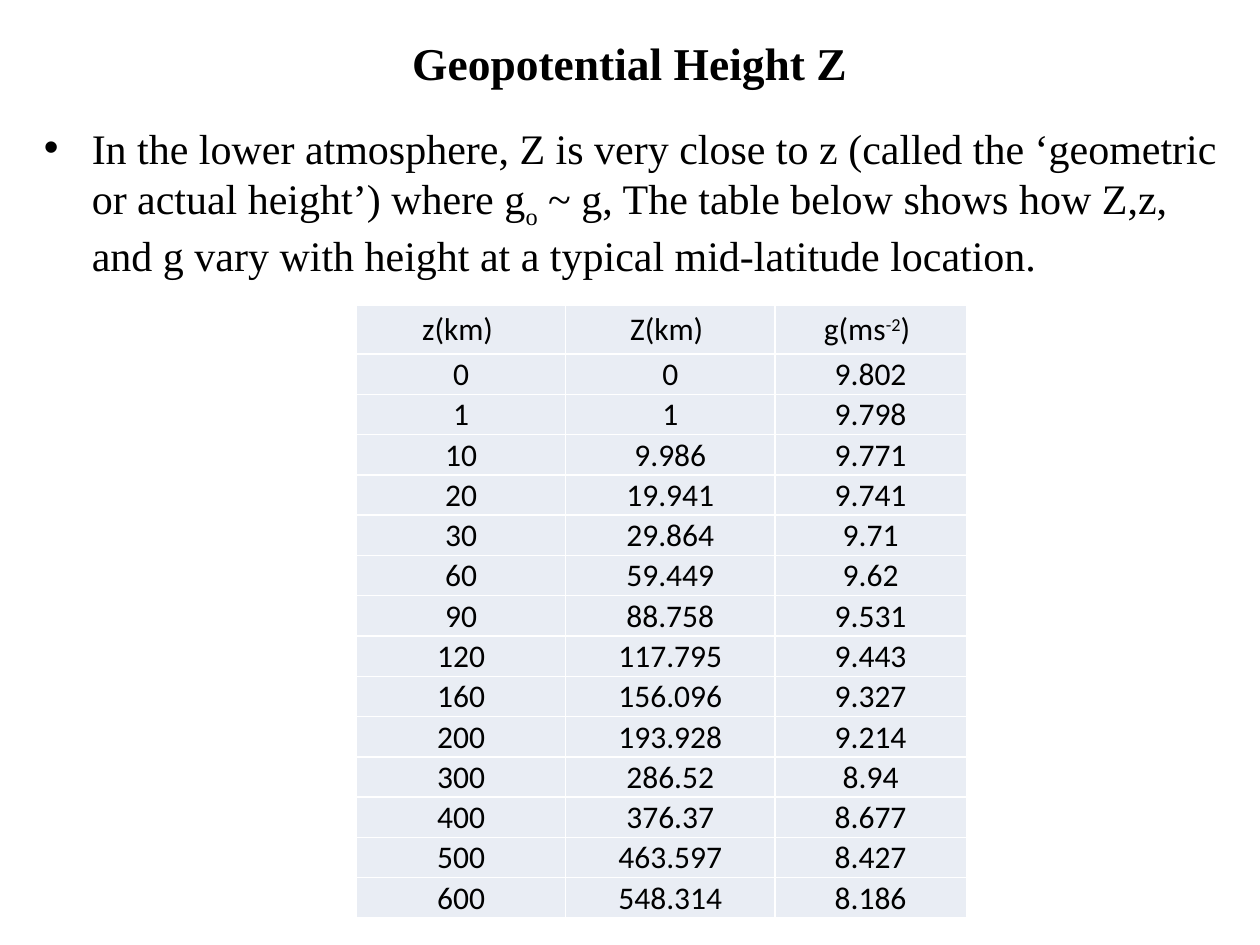
from lxml import etree
from pptx import Presentation
from pptx import util as u
from pptx.dml.color import RGBColor
from pptx.enum import text
from pptx.oxml.ns import qn

COLORS = {"ink": "000000", "cell": "E9EDF4", "border": "FFFFFF"}
SUBSCRIPT, SUPERSCRIPT = -25000, 30000

# Each text is a list of (wording, baseline shift) runs.
TITLE = [("Geopotential Height Z", 0)]
EXPLANATION = [
    ("In the lower atmosphere, Z is very close to z (called the ‘geometric or actual height’) where g", 0),
    ("o", SUBSCRIPT),
    (" ~ g, The table below shows how Z,z, and g vary with height at a typical mid-latitude location.", 0),
]
HEADER = [[("z(km) ", 0)], [("Z(km) ", 0)], [("g(ms", 0), ("-2", SUPERSCRIPT), (") ", 0)]]
HEIGHTS = [
    ("0", "0", "9.802"),
    ("1", "1", "9.798"),
    ("10", "9.986", "9.771"),
    ("20", "19.941", "9.741"),
    ("30", "29.864", "9.71"),
    ("60", "59.449", "9.62"),
    ("90", "88.758", "9.531"),
    ("120", "117.795", "9.443"),
    ("160", "156.096", "9.327"),
    ("200", "193.928", "9.214"),
    ("300", "286.52", "8.94"),
    ("400", "376.37", "8.677"),
    ("500", "463.597", "8.427"),
    ("600", "548.314", "8.186"),
]

TITLE_BOX = (0.5, 0.08, 9, 0.83)
EXPLANATION_BOX = (0.25, 0.92, 9.59, 1.31)
TABLE_LEFT, TABLE_TOP = 2.83, 2.42
COLUMN_WIDTHS = [1.66, 1.66, 1.52]
ROW_HEIGHTS = [0.39] + [0.32] * len(HEIGHTS)
BULLET_INDENT = 0.38

TITLE_FONT = {"name": "Times New Roman", "size": u.Pt(26), "bold": True}
BODY_FONT = {"name": "Times New Roman", "size": u.Pt(24), "bold": False}
TABLE_FONT = {"name": "Calibri", "size": u.Pt(18), "bold": False}
CELL_FORMAT = {
    "vertical_anchor": text.MSO_ANCHOR.MIDDLE,
    "margin_left": u.Inches(0.01),
    "margin_right": u.Inches(0.01),
    "margin_top": u.Inches(0.01),
    "margin_bottom": 0,
}


def set_all(target, values):
    for name, value in values.items():
        setattr(target, name, value)


def write_runs(paragraph, runs, font, alignment):
    paragraph.alignment = alignment
    for wording, baseline in runs:
        run = paragraph.add_run()
        run.text = wording
        set_all(run.font, font)
        run.font.color.rgb = RGBColor.from_string(COLORS["ink"])
        if baseline:
            run.font._element.set("baseline", str(baseline))


def add_text(slide, box, runs, font, alignment, anchor):
    frame = slide.shapes.add_textbox(*map(u.Inches, box)).text_frame
    set_all(frame, {"word_wrap": True, "vertical_anchor": anchor})
    write_runs(frame.paragraphs[0], runs, font, alignment)
    return frame.paragraphs[0]


def add_bullet(paragraph):
    properties = paragraph._p.get_or_add_pPr()
    indent = u.Inches(BULLET_INDENT)
    properties.set("marL", str(indent))
    properties.set("indent", str(-indent))
    etree.SubElement(properties, qn("a:buFont"), typeface="Arial")
    etree.SubElement(properties, qn("a:buChar"), char="•")


def format_cell(cell):
    set_all(cell, CELL_FORMAT)
    properties = cell._tc.get_or_add_tcPr()
    for side in ("lnL", "lnR", "lnT", "lnB"):
        line = etree.SubElement(properties, qn(f"a:{side}"), w=str(u.Pt(1)))
        fill = etree.SubElement(line, qn("a:solidFill"))
        etree.SubElement(fill, qn("a:srgbClr"), val=COLORS["border"])
    cell.fill.solid()
    cell.fill.fore_color.rgb = RGBColor.from_string(COLORS["cell"])


def add_height_table(slide):
    rows = [HEADER] + [[[(value, 0)] for value in row] for row in HEIGHTS]
    box = (TABLE_LEFT, TABLE_TOP, sum(COLUMN_WIDTHS), sum(ROW_HEIGHTS))
    table = slide.shapes.add_table(len(rows), len(HEADER), *map(u.Inches, box)).table
    set_all(table, {"first_row": False, "horz_banding": False})
    for column, width in zip(table.columns, COLUMN_WIDTHS):
        column.width = u.Inches(width)
    for row, height, contents in zip(table.rows, ROW_HEIGHTS, rows):
        row.height = u.Inches(height)
        for cell, runs in zip(row.cells, contents):
            format_cell(cell)
            write_runs(cell.text_frame.paragraphs[0], runs, TABLE_FONT, text.PP_ALIGN.CENTER)


def main():
    presentation = Presentation()
    set_all(presentation, {"slide_width": u.Inches(10), "slide_height": u.Inches(7.5)})
    slide = presentation.slides.add_slide(presentation.slide_layouts[6])
    add_text(slide, TITLE_BOX, TITLE, TITLE_FONT, text.PP_ALIGN.CENTER, text.MSO_ANCHOR.MIDDLE)
    add_bullet(add_text(slide, EXPLANATION_BOX, EXPLANATION, BODY_FONT,
                        text.PP_ALIGN.LEFT, text.MSO_ANCHOR.TOP))
    add_height_table(slide)
    presentation.save("out.pptx")


if __name__ == "__main__":
    main()
